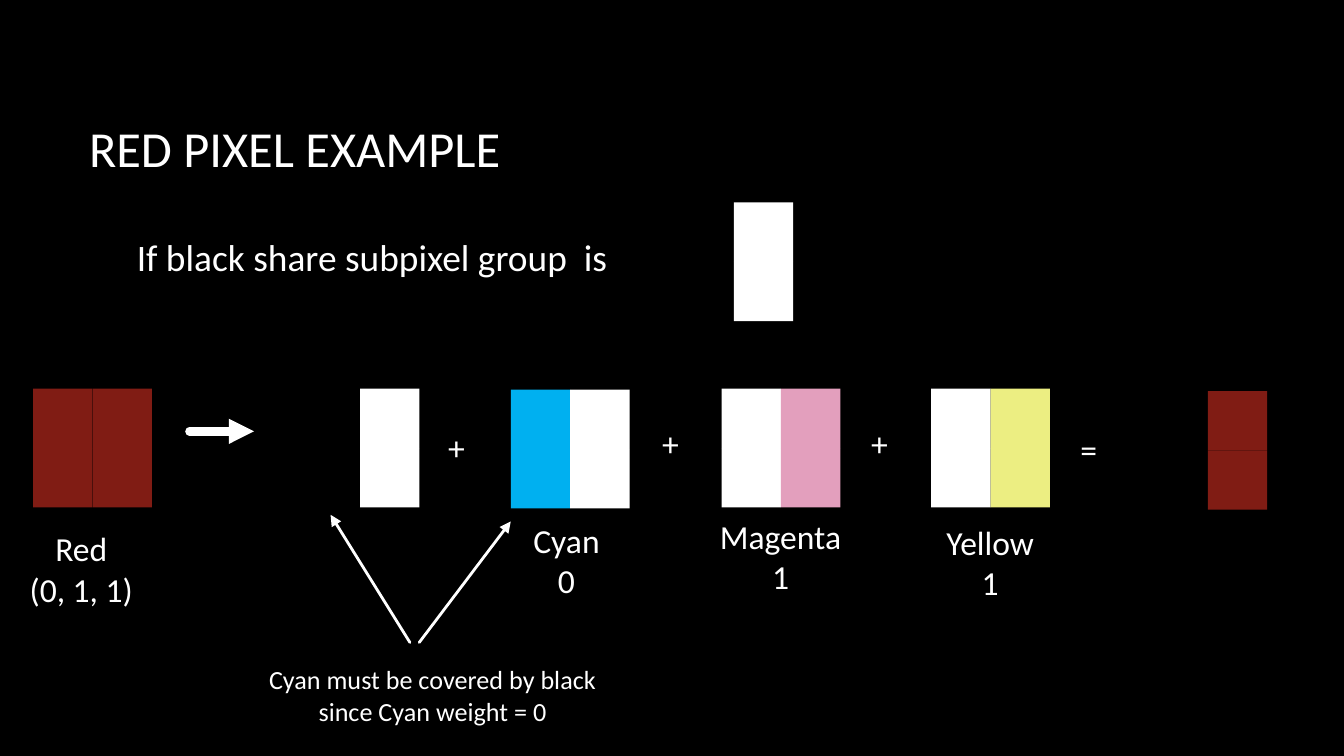
from lxml import etree
from pptx import Presentation
from pptx.dml.color import RGBColor
from pptx.enum.shapes import MSO_CONNECTOR as CONNECTOR, MSO_SHAPE as SHAPE
from pptx.enum.text import MSO_ANCHOR as ANCHOR, PP_ALIGN as ALIGN
from pptx.oxml.ns import qn
from pptx.util import Pt

COLORS = {
    "black": "000000",
    "white": "FFFFFF",
    "red": "801C14",
    "cyan": "00B0F0",
    "magenta": "E39FBD",
    "yellow": "ECEE82",
}


def color(name):
    return RGBColor.from_string(COLORS[name])


def write(shape, lines, size, alignment):
    frame = shape.text_frame
    frame.word_wrap = True
    frame.text = "\n".join(lines)
    for paragraph in frame.paragraphs:
        paragraph.alignment = alignment
        paragraph.font.name = "Calibri"
        paragraph.font.size = Pt(size)
        paragraph.font.color.rgb = color("white")


presentation = Presentation()
presentation.slide_width = Pt(720)
presentation.slide_height = Pt(405)
slide = presentation.slides.add_slide(presentation.slide_layouts[5])
slide.background.fill.solid()
slide.background.fill.fore_color.rgb = color("black")

title = slide.shapes.title
title.left, title.top, title.width, title.height = Pt(40.5), Pt(36), Pt(598.5), Pt(86)
write(title, ["RED PIXEL EXAMPLE"], 27, ALIGN.LEFT)
title.text_frame.vertical_anchor = ANCHOR.MIDDLE

cell_width, cell_height = 31.8, 31.8
subpixel_groups = [
    (17.8, 208.3, "red", "red"),
    (361.4, 108.5, "black", "white"),
    (161.1, 208.3, "black", "white"),
    (273.7, 208.8, "cyan", "white"),
    (386.6, 208.3, "white", "magenta"),
    (498.9, 208.3, "white", "yellow"),
    (615.3, 209.5, "black", "red"),
]
for left, top, *columns in subpixel_groups:
    for column, name in enumerate(columns):
        for row in range(2):
            subpixel = slide.shapes.add_shape(
                SHAPE.RECTANGLE,
                Pt(left + column * cell_width), Pt(top + row * cell_height),
                Pt(cell_width), Pt(cell_height),
            )
            subpixel.shadow.inherit = False
            subpixel.fill.solid()
            subpixel.fill.fore_color.rgb = color(name)
            subpixel.line.fill.background()

labels = [
    (66.2, 121.7, 274.3, 31.7, 20, ALIGN.LEFT, ["If black share subpixel group  is"]),
    (6.5, 279.4, 74.2, 51, 18, ALIGN.CENTER, ["Red", "(0, 1, 1)"]),
    (266.4, 275, 74.2, 51, 18, ALIGN.CENTER, ["Cyan", "0"]),
    (374.6, 272.9, 87.1, 51, 18, ALIGN.CENTER, ["Magenta", "1"]),
    (486.9, 275.8, 87.1, 51, 18, ALIGN.CENTER, ["Yellow", "1"]),
    (233, 225.4, 17.3, 29, 18, ALIGN.LEFT, ["+"]),
    (347.6, 223.2, 17.3, 29, 18, ALIGN.LEFT, ["+"]),
    (459.6, 223.2, 17.3, 29, 18, ALIGN.LEFT, ["+"]),
    (571.7, 226, 17.3, 29, 18, ALIGN.LEFT, ["="]),
    (123.8, 352.1, 216, 41, 14, ALIGN.CENTER,
     ["Cyan must be covered by black since Cyan weight = 0"]),
]
for left, top, width, height, size, alignment, lines in labels:
    label = slide.shapes.add_textbox(Pt(left), Pt(top), Pt(width), Pt(height))
    write(label, lines, size, alignment)

arrows = [
    (101.5, 231.1, 136.1, 231.1, 4.5),
    (219.6, 344.2, 177.1, 275.8, 1.5),
    (224.6, 344.2, 273.6, 279.4, 1.5),
]
for start_x, start_y, end_x, end_y, weight in arrows:
    arrow = slide.shapes.add_connector(
        CONNECTOR.STRAIGHT, Pt(start_x), Pt(start_y), Pt(end_x), Pt(end_y)
    )
    arrow.line.color.rgb = color("white")
    arrow.line.width = Pt(weight)
    properties = arrow.element.spPr
    line = properties.find(qn("a:ln"))
    line.set("cap", "rnd")
    etree.SubElement(line, qn("a:tailEnd"), type="triangle")
    etree.SubElement(properties, qn("a:effectLst"))

presentation.save("out.pptx")
